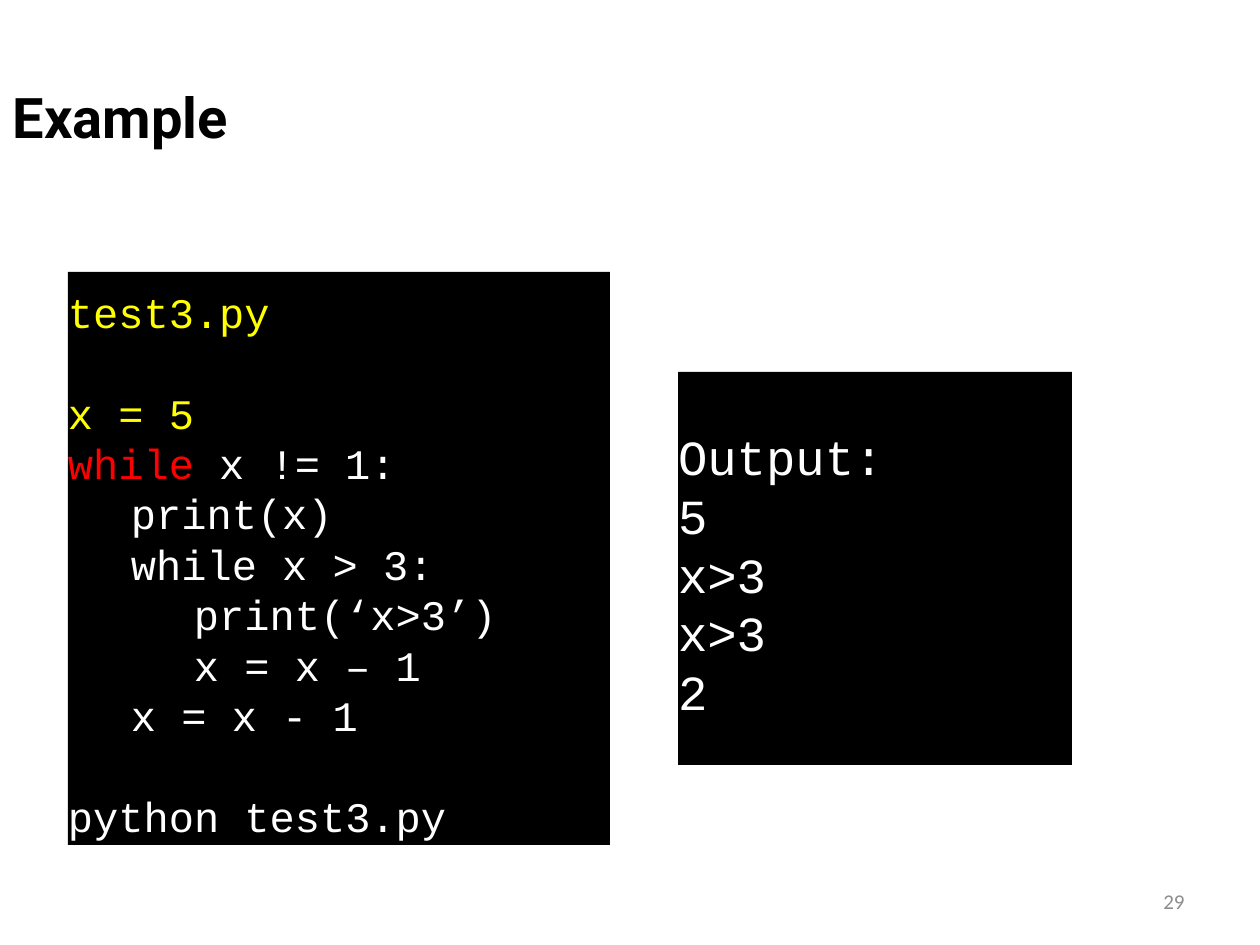
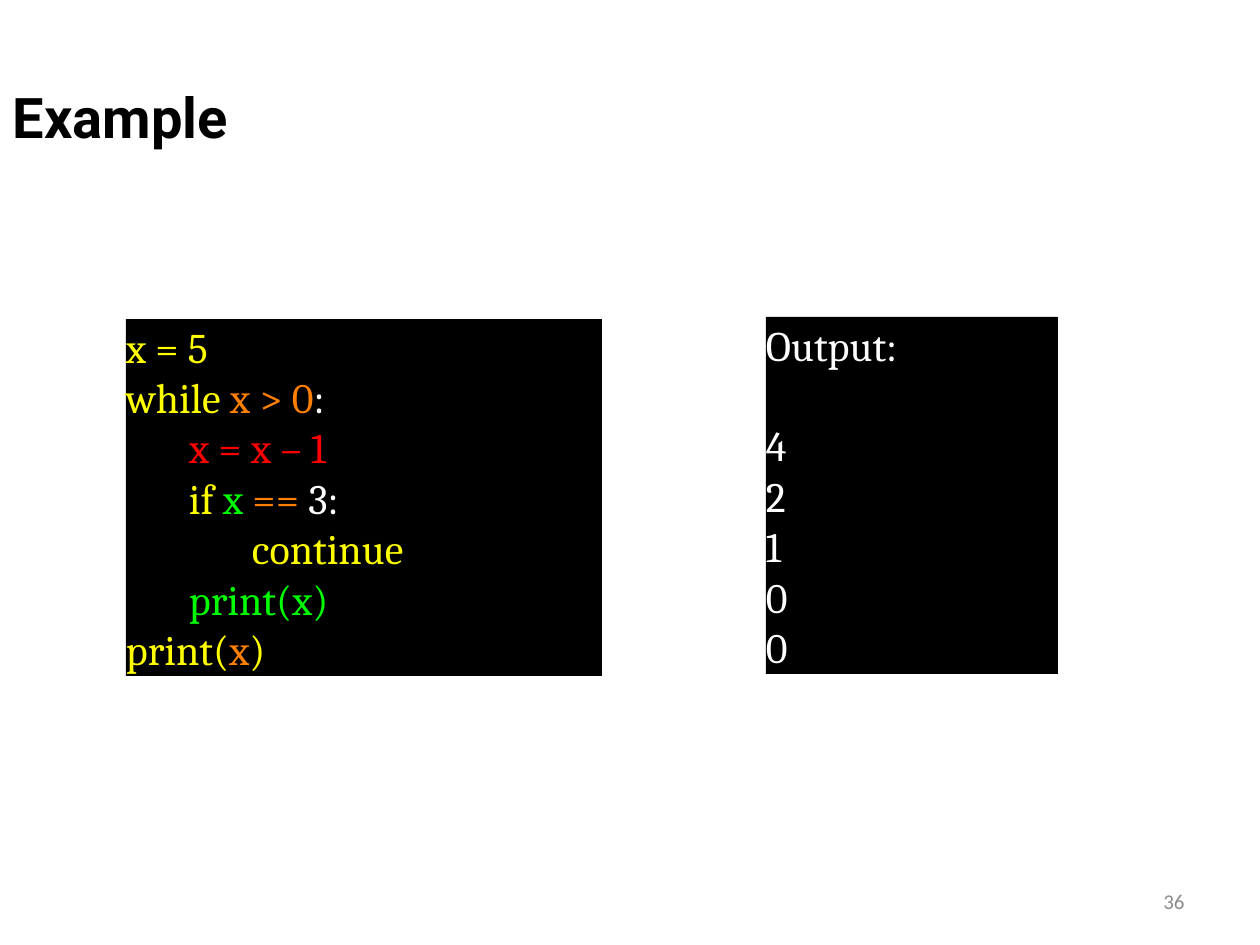
from pptx import Presentation
from pptx.dml.color import RGBColor
from pptx.enum.shapes import MSO_SHAPE as SHAPE
from pptx.enum.text import MSO_ANCHOR as ANCHOR, PP_ALIGN as ALIGN
from pptx.util import Pt

PX = 914400 / 126
TITLE_ONLY = 5
BLACK, WHITE, GREY = "000000", "FFFFFF", "8C8C8C"
YELLOW, RED, ORANGE, GREEN = "FFFF00", "FF0000", "FF7F00", "00FF00"
TITLE_FMT = {"name": "Roboto", "size": Pt(32), "bold": True}
NUMBER_FMT = {"name": "Calibri", "size": Pt(12)}
TITLE_BOX = (0, 38, 1134, 157)
NUMBER_BOX = (903, 876, 294, 50)
TAB = 63
LEADING = 1.2

NESTED_LOOP = [
    (0, [("test3.py", YELLOW)]),
    None,
    (0, [("x = 5", YELLOW)]),
    (0, [("while", RED), (" x != 1:", WHITE)]),
    (1, [("print(x)", WHITE)]),
    (1, [("while x > 3:", WHITE)]),
    (2, [("print(‘x>3’)", WHITE)]),
    (2, [("x = x – 1", WHITE)]),
    (1, [("x = x - 1", WHITE)]),
    None,
    (0, [("python test3.py", WHITE)]),
]
CONTINUE_LOOP = [
    (0, [("x = 5", YELLOW)]),
    (0, [("while ", YELLOW), ("x > 0", ORANGE), (":", WHITE)]),
    (1, [("x = x – 1", RED)]),
    (1, [("if ", YELLOW), ("x ", GREEN), ("== ", ORANGE), ("3:", WHITE)]),
    (2, [("continue", YELLOW)]),
    (1, [("print(x)", GREEN)]),
    (0, [("print(", YELLOW), ("x", ORANGE), (")", YELLOW)]),
]


def px(n):
    return int(n * PX)


def rgb(color):
    return RGBColor.from_string(color)


def plain(*lines):
    return [line and (0, [(line, WHITE)]) for line in lines]


def place(sp, box):
    for key, n in zip(("left", "top", "width", "height"), box):
        setattr(sp, key, px(n))


def add_run(p, text, color, fmt):
    r = p.add_run()
    r.text = text
    r.font.color.rgb = rgb(color)
    for key, value in fmt.items():
        setattr(r.font, key, value)


def add_title(s, box, text):
    sp = s.shapes.title
    place(sp, box)
    sp.text_frame.vertical_anchor = ANCHOR.MIDDLE
    p = sp.text_frame.paragraphs[0]
    p.alignment = ALIGN.LEFT
    add_run(p, text, BLACK, TITLE_FMT)


def add_number(s, box, number):
    tf = s.shapes.add_textbox(*map(px, box)).text_frame
    tf.word_wrap = True
    tf.vertical_anchor = ANCHOR.MIDDLE
    p = tf.paragraphs[0]
    p.alignment = ALIGN.RIGHT
    add_run(p, str(number), GREY, NUMBER_FMT)


def add_code(s, box, lines, font, size, drop=0):
    sp = s.shapes.add_shape(SHAPE.RECTANGLE, *map(px, box))
    sp.shadow.inherit = False
    sp.fill.solid()
    sp.fill.fore_color.rgb = rgb(BLACK)
    sp.line.fill.background()
    tf = sp.text_frame
    frame = {"word_wrap": True, "vertical_anchor": ANCHOR.MIDDLE,
             "margin_left": 0, "margin_right": 0,
             "margin_top": px(drop), "margin_bottom": 0}
    for key, value in frame.items():
        setattr(tf, key, value)
    pitch = Pt(size * LEADING)
    gap = 0
    p = tf.paragraphs[0]
    for i, line in enumerate(lines):
        if line is None:
            gap += pitch
            continue
        if i:
            p = tf.add_paragraph()
        indent, runs = line
        p.alignment = ALIGN.LEFT
        p.line_spacing = pitch
        p.space_before = gap
        p._p.get_or_add_pPr().set("marL", str(px(indent * TAB)))
        for text, color in runs:
            add_run(p, text, color, {"name": font, "size": Pt(size)})
        gap = 0


def add_example(prs, number, panels):
    s = prs.slides.add_slide(prs.slide_layouts[TITLE_ONLY])
    add_title(s, TITLE_BOX, "Example")
    for panel in panels:
        add_code(s, **panel)
    add_number(s, NUMBER_BOX, number)


def main():
    prs = Presentation()
    prs.slide_width, prs.slide_height = px(1260), px(945)
    add_example(prs, 29, [
        {"box": (68, 272, 542, 573), "lines": NESTED_LOOP,
         "font": "Courier New", "size": 24, "drop": 10},
        {"box": (678, 372, 394, 393), "font": "Courier New", "size": 28, "drop": 10,
         "lines": plain("Output:", "5", "x>3", "x>3", "2")},
    ])
    add_example(prs, 36, [
        {"box": (126, 319, 476, 357), "lines": CONTINUE_LOOP,
         "font": "Cambria", "size": 24},
        {"box": (766, 317, 292, 357), "font": "Cambria", "size": 24,
         "lines": plain("Output:", None, "4", "2", "1", "0", "0")},
    ])
    prs.save("out.pptx")


if __name__ == "__main__":
    main()
